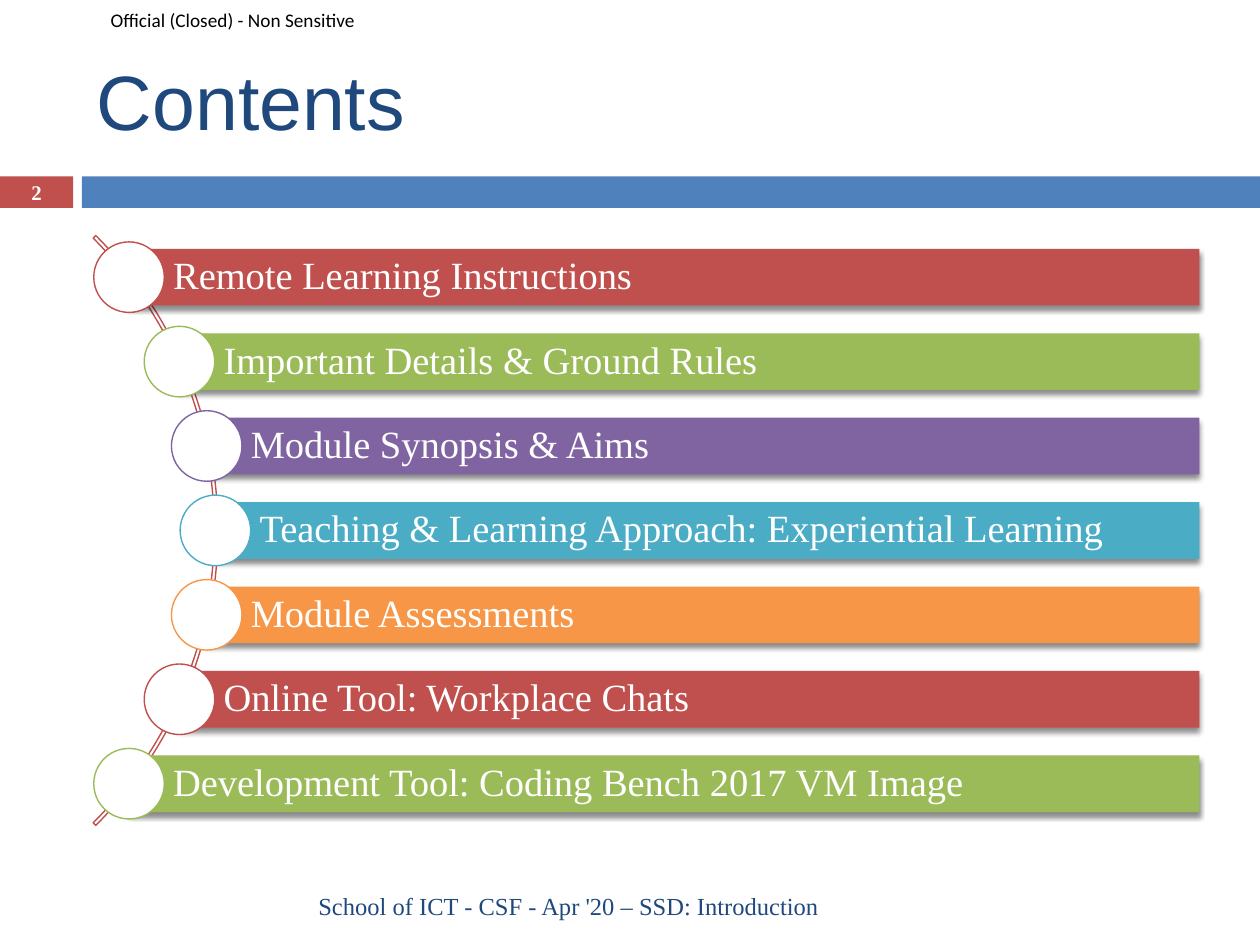
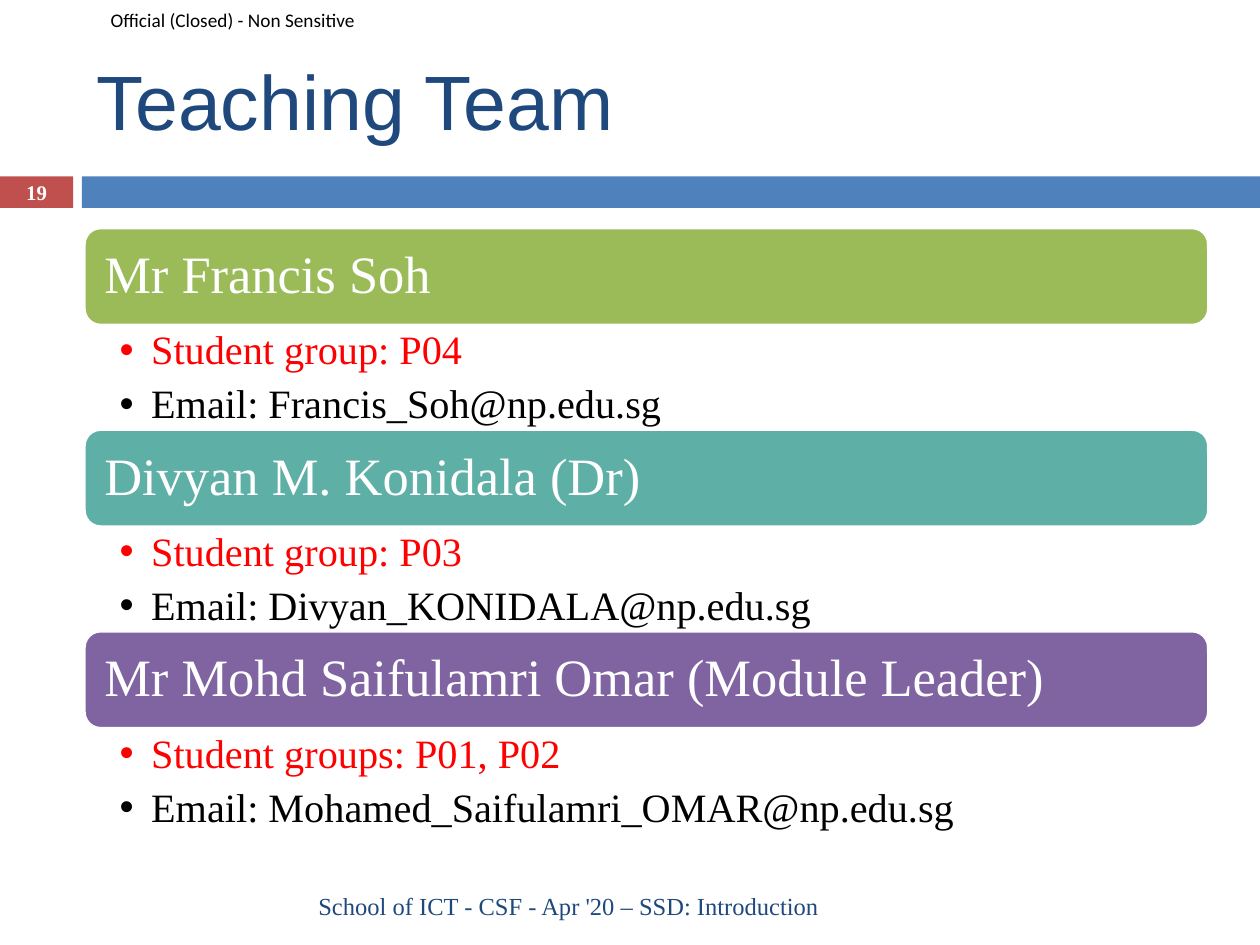
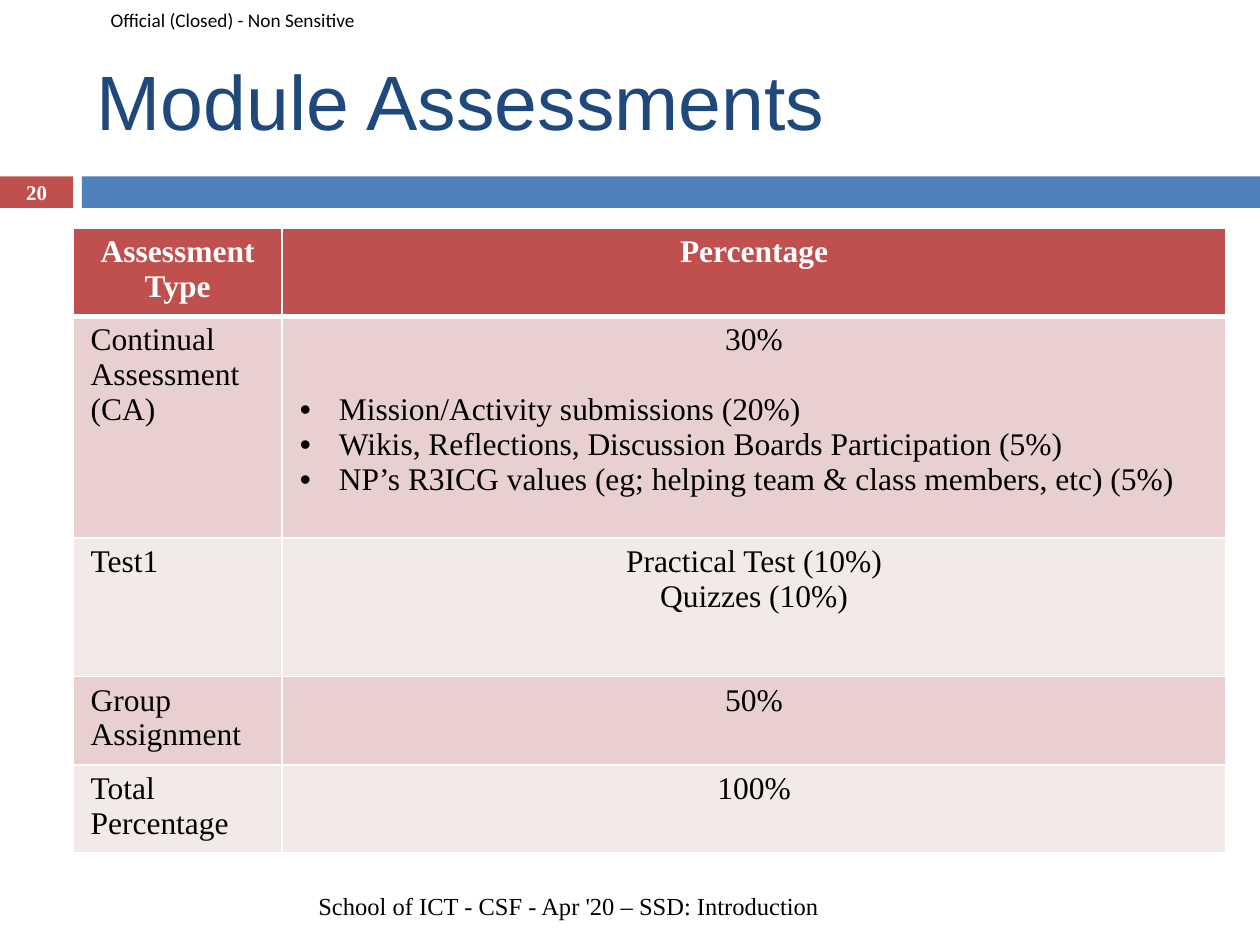
from math import sqrt
from lxml.etree import SubElement as sub
from pptx import Presentation
from pptx.dml.color import RGBColor as Rgb
from pptx.enum.shapes import MSO_SHAPE as Kind
from pptx.enum.text import MSO_ANCHOR as Anchor, PP_ALIGN as Align
from pptx.oxml.ns import qn
from pptx.util import Inches, Pt

HUES = {
    "red": "C0504D", "blue": "4F81BD", "navy": "1F497D", "green": "9BBB59",
    "purple": "8064A2", "aqua": "4BACC6", "orange": "F79646", "teal": "5EAFA6",
    "alert": "FF0000", "white": "FFFFFF", "black": "000000",
    "rose": "E8D0D0", "blush": "F4E9E9",
}
SERIF = "Times New Roman"
MARK = "Official (Closed) - Non Sensitive"
FOOTER = "School of ICT - CSF - Apr '20 – SSD: Introduction"

TOPICS = [
    ("Remote Learning Instructions", "red"),
    ("Important Details & Ground Rules", "green"),
    ("Module Synopsis & Aims", "purple"),
    ("Teaching & Learning Approach: Experiential Learning", "aqua"),
    ("Module Assessments", "orange"),
    ("Online Tool: Workplace Chats", "red"),
    ("Development Tool: Coding Bench 2017 VM Image", "green"),
]
TEAM = [
    ("Mr Francis Soh", "green",
     ["Student group: P04", "Email: Francis_Soh@np.edu.sg"]),
    ("Divyan M. Konidala (Dr)", "teal",
     ["Student group: P03", "Email: Divyan_KONIDALA@np.edu.sg"]),
    ("Mr Mohd Saifulamri Omar (Module Leader)", "purple",
     ["Student groups: P01, P02", "Email: Mohamed_Saifulamri_OMAR@np.edu.sg"]),
]
GRADES = [
    ("Assessment Type", ["Percentage"], []),
    ("Continual Assessment (CA)", ["30%"], [
        "Mission/Activity submissions (20%)",
        "Wikis, Reflections, Discussion Boards Participation (5%)",
        "NP’s R3ICG values (eg; helping team & class members, etc) (5%)"]),
    ("Test1", ["Practical Test (10%)", "Quizzes (10%)"], []),
    ("Group Assignment", ["50%"], []),
    ("Total Percentage", ["100%"], []),
]
WIDTHS = [1.66, 7.49]
HEIGHTS = [0.65, 1.76, 1.1, 0.65, 0.65]


def color(name):
    return Rgb.from_string(HUES[name])


def style(para, size, hue, font=SERIF, bold=False, align=Align.LEFT):
    para.alignment = align
    for run in para.runs:
        run.font.size, run.font.name, run.font.bold = Pt(size), font, bold
        run.font.color.rgb = color(hue)


def bullet(para, indent):
    props = para._p.get_or_add_pPr()
    props.set("marL", str(Inches(indent)))
    props.set("indent", str(-Inches(indent)))
    sub(props, qn("a:buFont"), typeface="Arial")
    sub(props, qn("a:buChar"), char="•")


def write(shape, lines, pad=(0.1, 0.05, 0.1, 0.05), anchor=Anchor.MIDDLE):
    frame = shape.text_frame
    frame.word_wrap = True
    frame.vertical_anchor = anchor
    (frame.margin_left, frame.margin_top,
     frame.margin_right, frame.margin_bottom) = map(Inches, pad)
    frame.text = "\n".join(lines)
    return frame.paragraphs


def label(slide, box, text, size, hue, **look):
    shape = slide.shapes.add_textbox(*map(Inches, box))
    style(write(shape, [text])[0], size, hue, **look)


def draw(slide, kind, box, fill=None, line=None, width=0.79):
    shape = slide.shapes.add_shape(kind, *map(Inches, box))
    shape.shadow.inherit = False
    if fill:
        shape.fill.solid()
        shape.fill.fore_color.rgb = color(fill)
    else:
        shape.fill.background()
    if line:
        shape.line.color.rgb = color(line)
        shape.line.width = Pt(width)
    else:
        shape.line.fill.background()
    return shape


def shade(shape):
    effects = shape._element.spPr.find(qn("a:effectLst"))
    cast = sub(effects, qn("a:outerShdw"), blurRad=str(Pt(3)), dist=str(Pt(2.4)),
               dir="5400000", rotWithShape="0")
    ink = sub(cast, qn("a:srgbClr"), val=HUES["black"])
    sub(ink, qn("a:alpha"), val="45000")


def begin(deck, title, number, ink="navy"):
    slide = deck.slides.add_slide(deck.slide_layouts[6])
    badge = draw(slide, Kind.RECTANGLE, (0, 1.4, 0.58, 0.25), "red")
    style(write(badge, [number], (0, 0, 0, 0))[0], 11.9, "white",
          bold=True, align=Align.CENTER)
    draw(slide, Kind.RECTANGLE, (0.65, 1.4, 9.35, 0.25), "blue")
    label(slide, (0.78, 0, 2.4, 0.31), MARK, 11, "black", font="Calibri")
    label(slide, (0.67, 0.25, 8.92, 1.08), title, 44, "navy", font="Arial")
    label(slide, (0.67, 6.99, 5.93, 0.4), FOOTER, 14, ink, align=Align.RIGHT)
    return slide


def contents(deck):
    slide = begin(deck, "Contents", "2")
    mid_x, mid_y, reach, step = -1.58, 4.21, 3.29, 0.67
    bar, dot, right = 0.45, 0.56, 9.52
    arc = draw(slide, Kind.BLOCK_ARC, (-4.89, 0.9, 6.62, 6.62), line="red")
    for i, turn in enumerate((189, 27, 0.0044)):
        arc.adjustments[i] = turn
    for i, (text, hue) in enumerate(TOPICS):
        drop = (i - len(TOPICS) // 2) * step
        x, y = mid_x + sqrt(reach ** 2 - drop ** 2), mid_y + drop
        strip = draw(slide, Kind.RECTANGLE, (x, y - bar / 2, right - x, bar), hue)
        shade(strip)
        para = write(strip, [text], (0.35, 0.06, 0.06, 0.06))[0]
        para.line_spacing = 0.9
        style(para, 22, "white")
        draw(slide, Kind.OVAL, (x - dot / 2, y - dot / 2, dot, dot), "white", hue)


def team(deck):
    slide = begin(deck, "Teaching Team", "19")
    left, top, wide, head, body = 0.67, 1.81, 8.92, 0.77, 0.83
    for i, (name, hue, facts) in enumerate(TEAM):
        y = top + i * (head + body)
        card = draw(slide, Kind.ROUNDED_RECTANGLE, (left, y, wide, head),
                    hue, "white", 1.5)
        para = write(card, [name], (0.12,) * 4)[0]
        para.line_spacing = 0.9
        style(para, 30, "white")
        box = slide.shapes.add_textbox(*map(Inches, (left, y + head, wide, body)))
        paras = write(box, facts, (0.28, 0.04, 0.23, 0.04), Anchor.TOP)
        for para, ink in zip(paras, ("alert", "black")):
            bullet(para, 0.25)
            para.line_spacing = 0.9
            para.space_after = Pt(6)
            style(para, 23, ink)


def edge(cell, base):
    props = cell._tc.get_or_add_tcPr()
    for side, width in zip("LRTB", (1, 1, 1, base)):
        line = sub(props, qn("a:ln" + side), w=str(Pt(width)))
        sub(sub(line, qn("a:solidFill")), qn("a:srgbClr"), val=HUES["white"])


def fill_cell(cell, lines, points, row, align):
    edge(cell, 1 if row else 3)
    cell.fill.solid()
    cell.fill.fore_color.rgb = color(("blush", "rose")[row % 2] if row else "red")
    cell.margin_left = cell.margin_right = Inches(0.14)
    cell.margin_top = cell.margin_bottom = Inches(0.05)
    cell.vertical_anchor = Anchor.TOP
    cell.text_frame.text = "\n".join(lines + points)
    for i, para in enumerate(cell.text_frame.paragraphs):
        point = i >= len(lines)
        if point:
            bullet(para, 0.31)
        if i == len(lines):
            para.space_before = Pt(20)
        style(para, 18, "black" if row else "white", bold=not row,
              align=Align.LEFT if point else align)


def grades(deck):
    slide = begin(deck, "Module Assessments", "20", "black")
    box = (0.58, 1.81, sum(WIDTHS), sum(HEIGHTS))
    grid = slide.shapes.add_table(len(GRADES), 2, *map(Inches, box)).table
    grid.horz_banding = False
    for col, width in zip(grid.columns, WIDTHS):
        col.width = Inches(width)
    for i, (kind, lines, points) in enumerate(GRADES):
        grid.rows[i].height = Inches(HEIGHTS[i])
        fill_cell(grid.cell(i, 0), [kind], [], i,
                  Align.LEFT if i else Align.CENTER)
        fill_cell(grid.cell(i, 1), lines, points, i, Align.CENTER)


def main():
    deck = Presentation()
    deck.slide_width, deck.slide_height = Inches(10), Inches(7.5)
    for build in (contents, team, grades):
        build(deck)
    deck.save("out.pptx")


if __name__ == "__main__":
    main()
